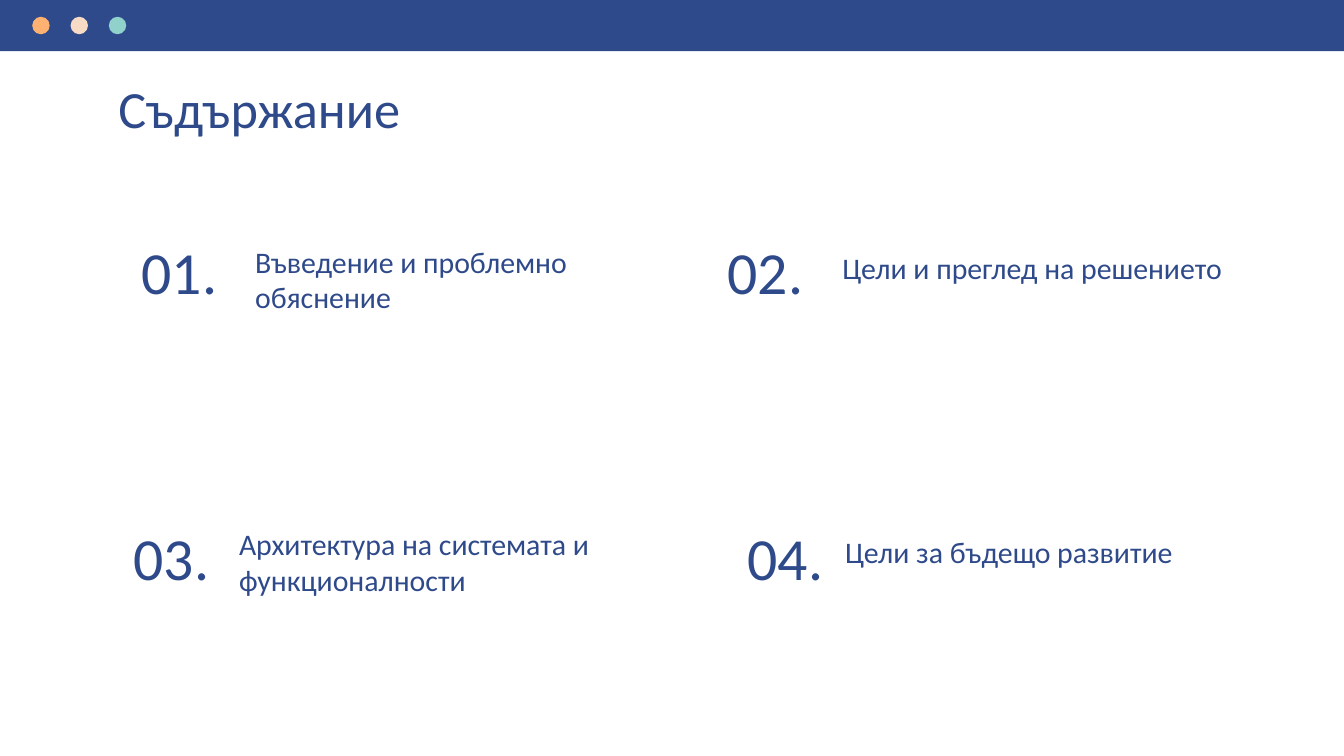
from pptx import Presentation
from pptx.dml.color import RGBColor
from pptx.enum.shapes import MSO_SHAPE as Shape
from pptx.enum.text import MSO_ANCHOR as Anchor, MSO_AUTO_SIZE as AutoSize, PP_ALIGN as Align
from pptx.util import Inches, Pt

COLORS = {
    "navy": "2F4A8A",
    "orange": "FFB172",
    "cream": "F8DBC4",
    "mint": "90D1CB",
    "white": "FFFFFF",
}
FONT = "Calibri"

# number, its left and top; topic, its offset from the number and its size, vertical inset
AGENDA = [
    ("01.", 0.84, 1.74, "Въведение и проблемно обяснение", (0.96, -0.03, 2.92, 0.51), 0.1),
    ("02.", 5.2, 1.74, "Цели и преглед на решението", (0.97, 0.07, 3.26, 0.37), 0.05),
    ("03.", 0.78, 3.87, "Архитектура на системата и функционалности", (0.9, -0.06, 2.92, 0.51), 0.1),
    ("04.", 5.35, 3.87, "Цели за бъдещо развитие", (0.84, 0, 2.92, 0.51), 0.1),
]


def color(name):
    return RGBColor.from_string(COLORS[name])


def write(box, text, size, align=Align.LEFT, anchor=Anchor.TOP, inset=0.1):
    """Fill a text box or placeholder with one navy run."""
    frame = box.text_frame
    frame.word_wrap = True
    frame.auto_size = AutoSize.NONE
    frame.vertical_anchor = anchor
    frame.margin_left = frame.margin_right = Inches(0.1)
    frame.margin_top = frame.margin_bottom = Inches(inset)
    para = frame.paragraphs[0]
    para.alignment = align
    span = para.add_run()
    span.text = text
    span.font.name = FONT
    span.font.size = Pt(size)
    span.font.color.rgb = color("navy")


def add_filled(shapes, kind, left, top, width, height, fill):
    shape = shapes.add_shape(kind, Inches(left), Inches(top), Inches(width), Inches(height))
    shape.shadow.inherit = False
    shape.fill.solid()
    shape.fill.fore_color.rgb = color(fill)
    shape.line.fill.background()


def add_window_bar(page, left, top, width, height):
    bar = page.shapes.add_group_shape()
    add_filled(bar.shapes, Shape.RECTANGLE, left, top, width, height, "navy")
    dot, first, last = 0.13, 0.24, 0.81
    fills = ("orange", "cream", "mint")
    step = (last - first) / (len(fills) - 1)
    for index, fill in enumerate(fills):
        add_filled(bar.shapes, Shape.OVAL, left + first + index * step,
                   top + (height - dot) / 2, dot, dot, fill)


def place_title(page, left, top, width, height):
    title = page.shapes.title
    title.left, title.top = Inches(left), Inches(top)
    title.width, title.height = Inches(width), Inches(height)
    write(title, "Съдържание", 28)


def add_agenda_item(page, number, left, top, topic, topic_box, inset):
    """Place a number, and its topic at an offset from the number."""
    dx, dy, width, height = topic_box
    label = page.shapes.add_textbox(Inches(left + dx), Inches(top + dy),
                                    Inches(width), Inches(height))
    write(label, topic, 16, inset=inset)
    number_box = page.shapes.add_textbox(Inches(left), Inches(top), Inches(0.99), Inches(0.64))
    write(number_box, number, 32, Align.CENTER, Anchor.BOTTOM)


def main():
    deck = Presentation()
    deck.slide_width = Inches(10)
    deck.slide_height = deck.slide_width * 9 // 16
    page = deck.slides.add_slide(deck.slide_layouts[5])
    page.background.fill.solid()
    page.background.fill.fore_color.rgb = color("white")
    place_title(page, 0.78, 0.47, 8.44, 0.51)
    add_window_bar(page, 0, 0, 10, 0.38)
    for item in AGENDA:
        add_agenda_item(page, *item)
    deck.save("out.pptx")


if __name__ == "__main__":
    main()
